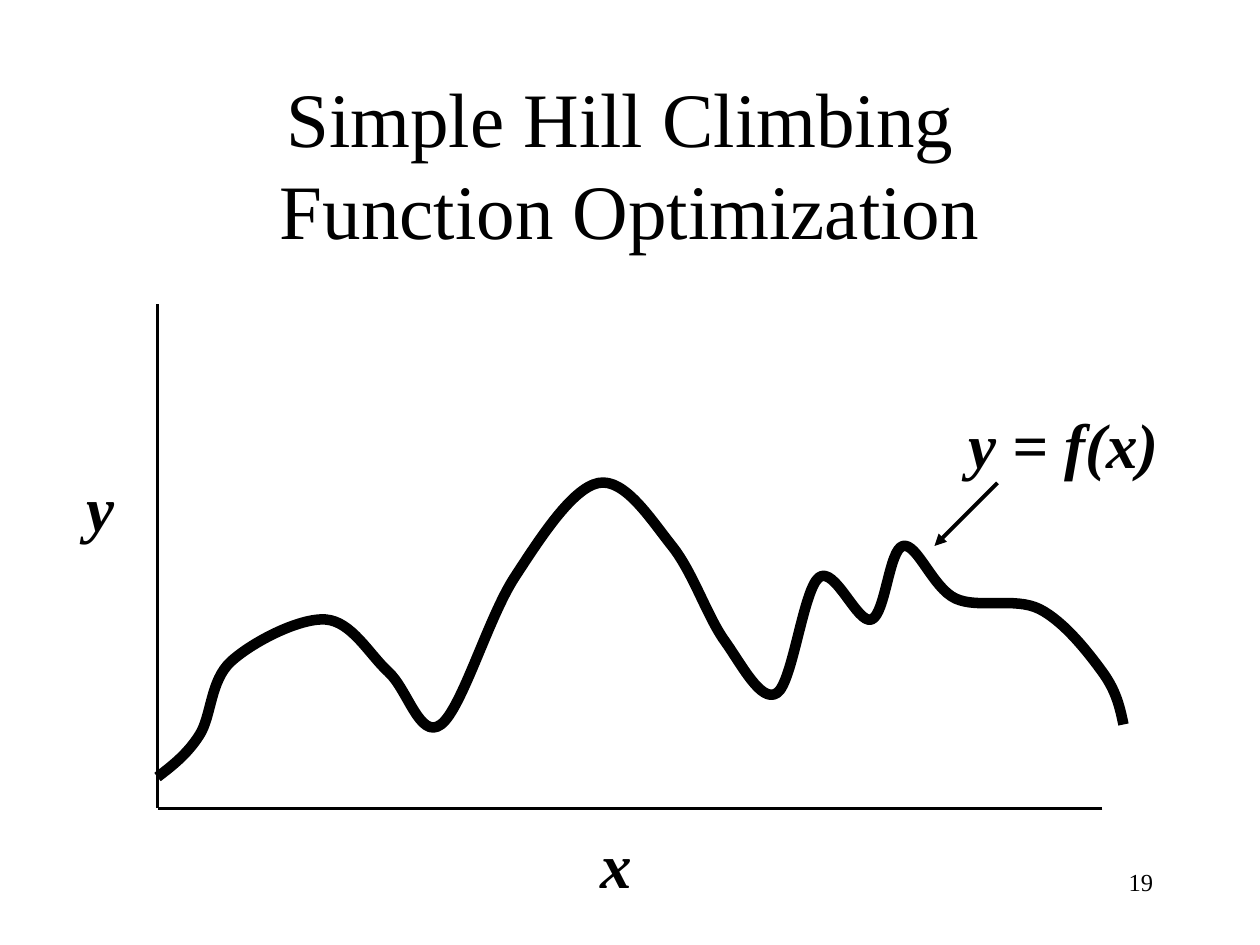
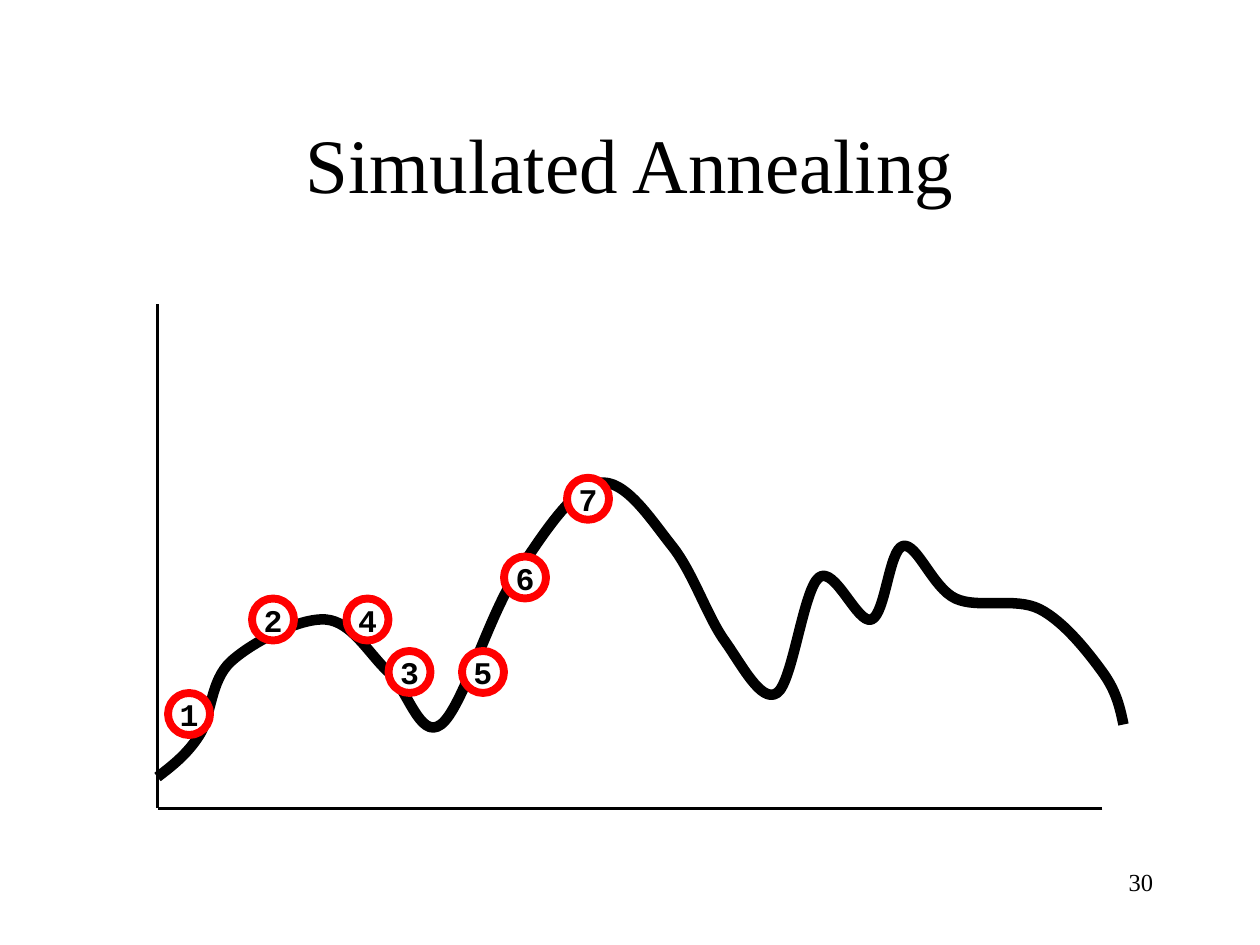
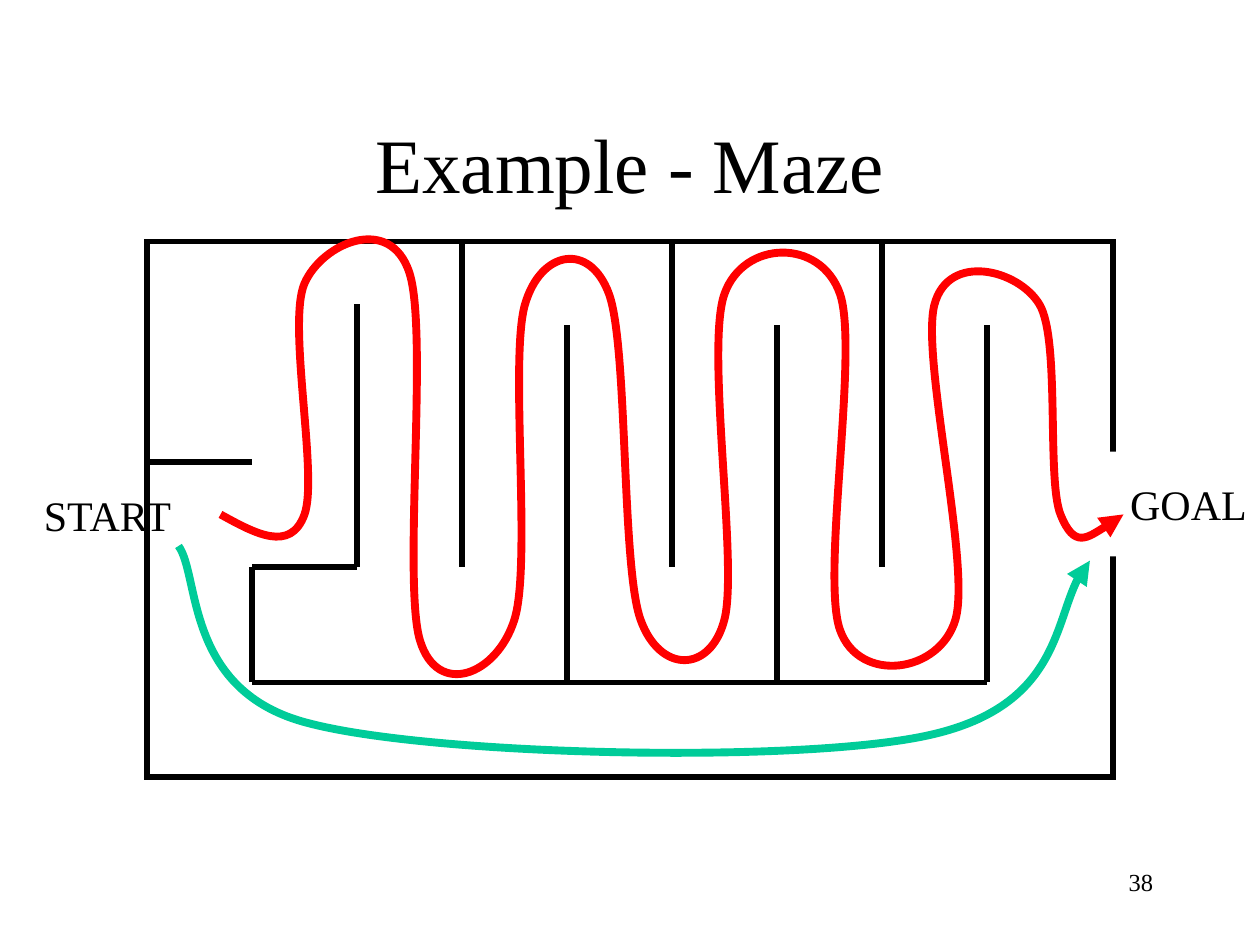
from lxml.etree import SubElement
from pptx import Presentation
from pptx.dml.color import RGBColor
from pptx.enum.shapes import MSO_CONNECTOR, MSO_SHAPE
from pptx.enum.text import MSO_ANCHOR, MSO_AUTO_SIZE, PP_ALIGN
from pptx.oxml.ns import qn
from pptx.util import Cm, Pt

COLORS = {"ink": "000000", "paper": "FFFFFF", "red": "FF0000", "green": "00CC99"}
SERIF, MONO = "Times New Roman", "Courier New"
TITLE_ONLY = 5

HILL_POINTS = [
    (15, 74), (19, 70), (22, 63), (31, 59), (37, 64), (42, 69), (49, 55), (57, 46), (64, 52),
    (69, 61), (74, 66), (78, 55), (83, 59), (86, 52), (91, 57), (99, 58), (105, 64), (107, 69),
]
LONG_ROUTE_POINTS = [
    (21, 49), (29, 49), (29, 27), (39, 26), (40, 61), (49, 59), (50, 29), (58, 28), (61, 59),
    (69, 59), (69, 28), (80, 28), (80, 60), (91, 59), (89, 29), (99, 29), (101, 49), (107, 49),
]
SHORT_ROUTE_BEZIER = [
    (17, 52), (19.08, 54.84), (17.52, 65.88), (29.4, 68.88), (41.28, 72),
    (75.84, 72.72), (88.2, 70.08), (100.68, 67.44), (100.56, 56.88), (103.8, 53.4),
]
SEARCH_STEPS = [(16, 66), (24, 57), (37, 62), (33, 57), (44, 62), (48, 53), (54, 45.5)]


def grid(*steps):
    """Turn drawing-grid steps (a twelfth of 2.54 cm each) into lengths."""
    return [Cm(step * 2.54 / 12) for step in steps]


def color(name):
    return RGBColor.from_string(COLORS[name])


def add_run(paragraph, text, size, font=SERIF, bold=False, italic=False):
    run = paragraph.add_run()
    run.text = text
    run.font.name, run.font.size = font, Pt(size)
    run.font.bold, run.font.italic = bold, italic
    run.font.color.rgb = color("ink")


def set_line(shape, name, width, *extras, **attributes):
    """Format the line; extras are names of elements added to it with the attributes."""
    shape.line.color.rgb = color(name)
    shape.line.width = Pt(width)
    for extra in extras:
        SubElement(shape.line._get_or_add_ln(), qn(extra), **attributes)


def set_arrow(shape, name, width):
    set_line(shape, name, width, "a:tailEnd", type="triangle")


def add_slide(presentation, title_lines, number):
    slide = presentation.slides.add_slide(presentation.slide_layouts[TITLE_ONLY])
    title = slide.shapes.title
    title.left, title.top, title.width, title.height = grid(9, 8, 102, 15)
    frame = title.text_frame
    frame.auto_size = MSO_AUTO_SIZE.NONE
    frame.vertical_anchor = MSO_ANCHOR.MIDDLE
    paragraph = frame.paragraphs[0]
    paragraph.alignment = PP_ALIGN.CENTER
    for index, line in enumerate(title_lines):
        if index:
            paragraph.add_line_break()
        add_run(paragraph, line, 44)
    number_box = slide.shapes.add_textbox(*grid(86, 82, 25, 6))
    number_box.text_frame.word_wrap = True
    paragraph = number_box.text_frame.paragraphs[0]
    paragraph.alignment = PP_ALIGN.RIGHT
    add_run(paragraph, number, 14)
    return slide


def add_label(slide, text, box, size, emphasis=False):
    frame = slide.shapes.add_textbox(*grid(*box)).text_frame
    frame.word_wrap = False
    frame.auto_size = MSO_AUTO_SIZE.SHAPE_TO_FIT_TEXT
    add_run(frame.paragraphs[0], text, size, bold=emphasis, italic=emphasis)


def add_straight(slide, ends, width, style=set_line):
    connector = slide.shapes.add_connector(MSO_CONNECTOR.STRAIGHT, *grid(*ends))
    style(connector, "ink", width)
    SubElement(connector._element.spPr, qn("a:effectLst"))


def add_preset(slide, kind, box, fill=None):
    shape = slide.shapes.add_shape(kind, *grid(*box))
    shape.shadow.inherit = False
    if fill:
        shape.fill.solid()
        shape.fill.fore_color.rgb = color(fill)
    else:
        shape.fill.background()
    return shape


def smooth(points):
    """Return the Bezier points of a smooth curve through the given points."""
    def tangent(index):
        (x1, y1), (x2, y2) = points[index - 1], points[index + 1]
        return (x2 - x1) / 6, (y2 - y1) / 6

    def midpoint(a, b):
        return (a[0] + b[0]) / 2, (a[1] + b[1]) / 2

    bezier = [points[0]]
    for index in range(1, len(points) - 1):
        x, y = points[index]
        dx, dy = tangent(index)
        bezier += [(x - dx, y - dy), (x, y), (x + dx, y + dy)]
    bezier.insert(1, midpoint(bezier[0], bezier[1]))
    return bezier + [midpoint(bezier[-1], points[-1]), points[-1]]


def add_curve(slide, bezier, name, width, style=set_line):
    start, *others = [grid(*point) for point in bezier]
    builder = slide.shapes.build_freeform(*start)
    builder.add_line_segments(others, close=False)
    curve = builder.convert_to_shape()
    curve.shadow.inherit = False
    curve.fill.background()
    style(curve, name, width)
    # Every three straight segments become one cubic segment.
    outline = curve._element.find(".//" + qn("a:path"))
    segments = outline.findall(qn("a:lnTo"))
    for index, segment in enumerate(segments):
        if index % 3 == 0:
            cubic = SubElement(outline, qn("a:cubicBezTo"))
        cubic.append(segment[0])
        outline.remove(segment)


def add_hill_plot(slide):
    for axis in [(15, 29, 15, 77), (105, 77, 15, 77)]:
        add_straight(slide, axis, 2.25)
    add_curve(slide, smooth(HILL_POINTS), "ink", 6)


def add_step_marker(slide, number, left, top):
    marker = add_preset(slide, MSO_SHAPE.OVAL, (left, top, 4, 4), "paper")
    set_line(marker, "red", 4.5)
    frame = marker.text_frame
    frame.word_wrap = False
    frame.vertical_anchor = MSO_ANCHOR.MIDDLE
    frame.paragraphs[0].alignment = PP_ALIGN.CENTER
    add_run(frame.paragraphs[0], str(number), 18, MONO, bold=True)


def add_maze(slide):
    outer_wall = add_preset(slide, MSO_SHAPE.RECTANGLE, (14, 23, 92, 51))
    set_line(outer_wall, "ink", 3, "a:miter", lim="800000")
    walls = [(14, 44, 24, 44), (24, 54, 34, 54), (34, 29, 34, 54),
             (24, 65, 94, 65), (24, 54, 24, 65)]
    for x in (44, 64, 84):
        walls += [(x, 23, x, 54), (x + 10, 31, x + 10, 65)]
    for wall in walls:
        add_straight(slide, wall, 3)
    exit_gap = add_preset(slide, MSO_SHAPE.RECTANGLE, (101, 43, 10, 10), "paper")
    exit_gap.line.fill.background()


def build_hill_climbing(presentation):
    slide = add_slide(presentation, ["Simple Hill Climbing ", "Function Optimization"], "19")
    add_hill_plot(slide)
    add_label(slide, "y = f(x)", (91.1, 38, 20.8, 8.4), 36, emphasis=True)
    add_straight(slide, (95, 46, 89, 52), 2.25, set_arrow)
    add_label(slide, "x", (56, 78, 5.4, 8.4), 36, emphasis=True)
    add_label(slide, "y", (7.1, 44, 5, 8.4), 36, emphasis=True)


def build_annealing(presentation):
    slide = add_slide(presentation, ["Simulated Annealing"], "30")
    add_hill_plot(slide)
    for number, (left, top) in enumerate(SEARCH_STEPS, 1):
        add_step_marker(slide, number, left, top)


def build_maze(presentation):
    slide = add_slide(presentation, ["Example - Maze"], "38")
    add_maze(slide)
    add_label(slide, "START", (3, 46, 15, 6), 24)
    add_label(slide, "GOAL", (106.45, 45, 13.8, 6), 24)
    add_curve(slide, smooth(LONG_ROUTE_POINTS), "red", 4.5, set_arrow)
    add_curve(slide, SHORT_ROUTE_BEZIER, "green", 4.5, set_arrow)


def main():
    presentation = Presentation()
    presentation.slide_width, presentation.slide_height = Cm(25.4), Cm(19.05)
    build_hill_climbing(presentation)
    build_annealing(presentation)
    build_maze(presentation)
    presentation.save("out.pptx")


if __name__ == "__main__":
    main()
